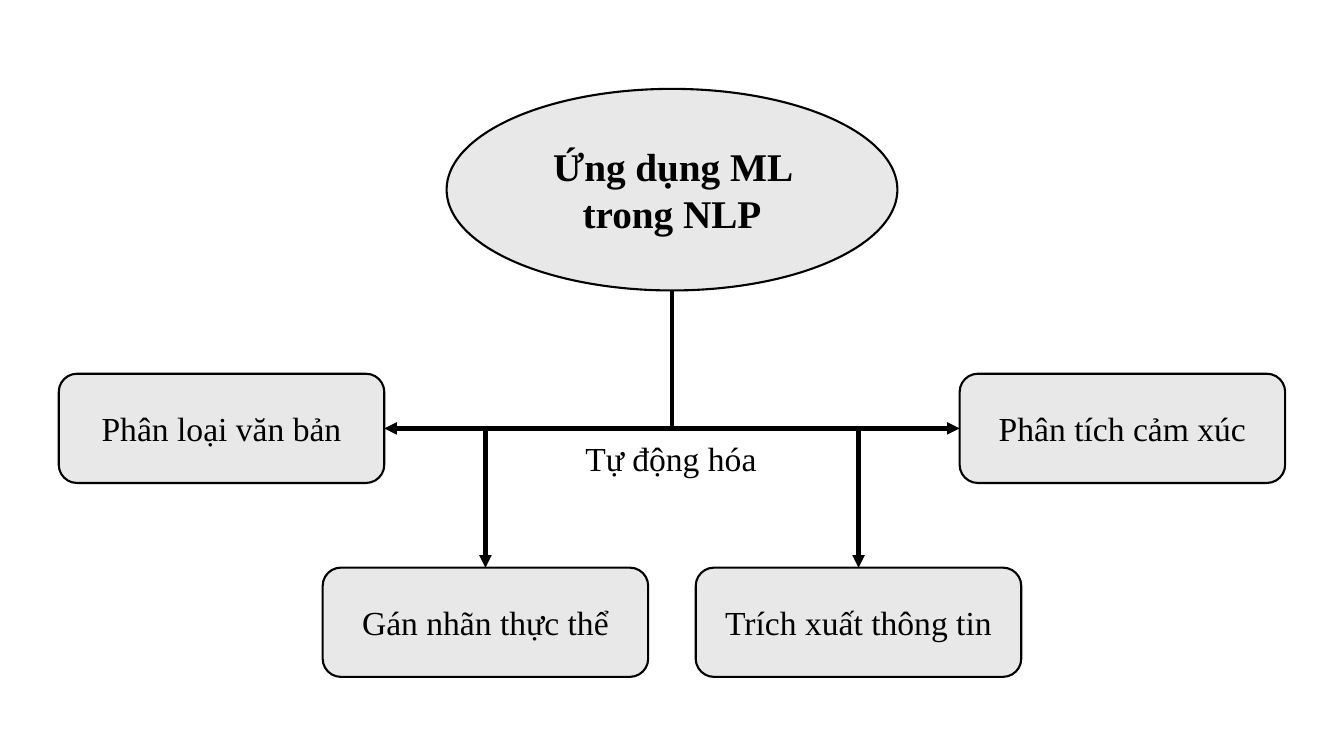
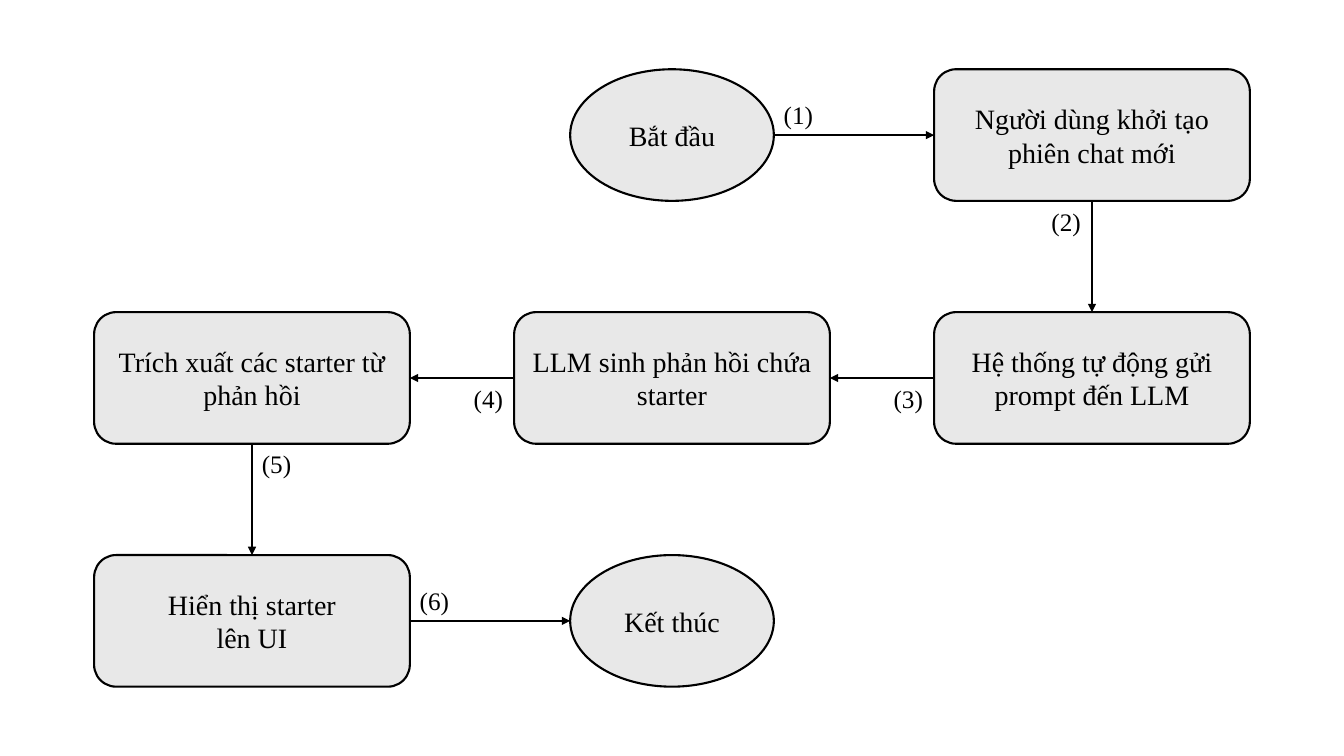
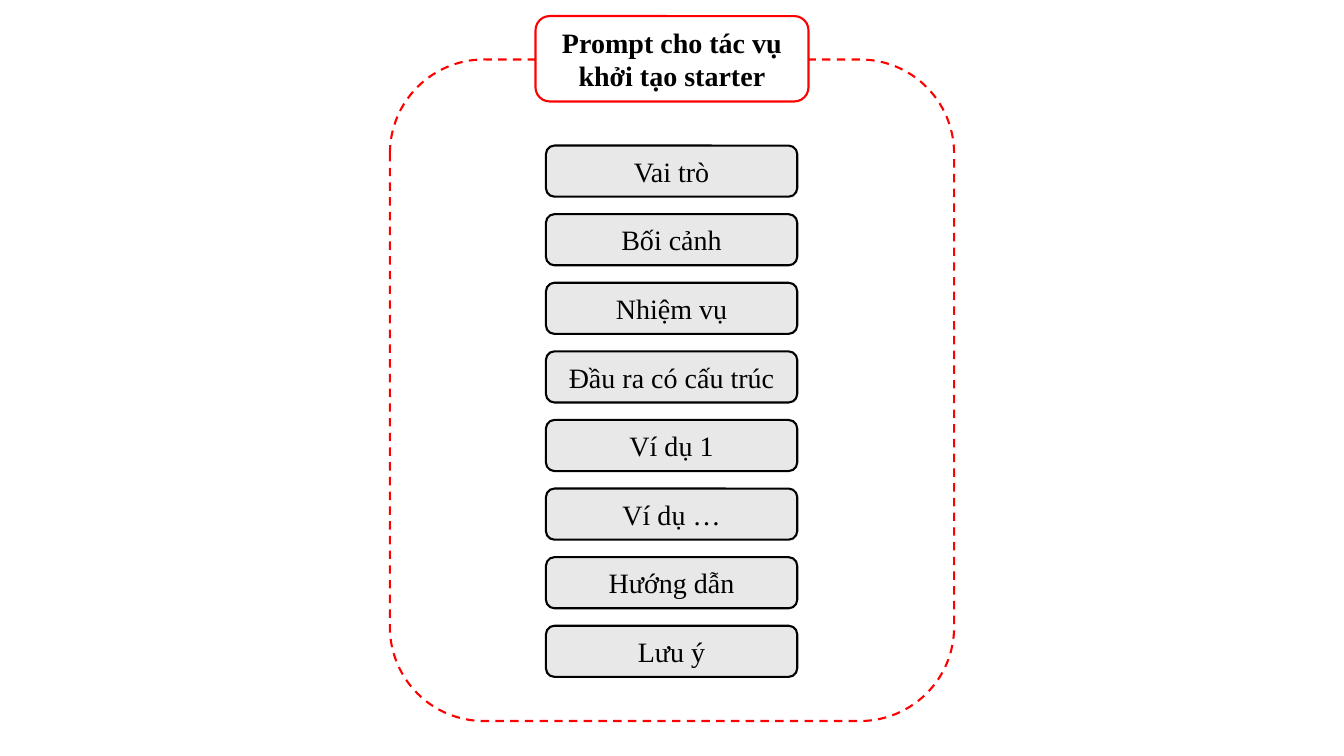
from lxml import etree
from pptx import Presentation
from pptx.dml.color import RGBColor
from pptx.enum import dml, shapes, text
from pptx.oxml.ns import qn
from pptx.util import Emu, Pt

# Shared look
PX = 6350  # EMU in one px, 1920 x 1080 px on the slide
SLIDE_SIZE = (1920, 1080)
COLORS = {"ink": "000000", "node": "E8E8E8", "accent": "FF0000", "paper": "FFFFFF"}
FONT = "Times New Roman"
OVAL = shapes.MSO_SHAPE.OVAL
ROUNDED = shapes.MSO_SHAPE.ROUNDED_RECTANGLE

# Slide 1: applications, as (text, left, top)
ROOT = ("Ứng dụng ML trong NLP", (638, 127, 644, 288))
LEAF_SIZE = (465, 156)
SIDE_LEAVES = [("Phân loại văn bản", 84, 534), ("Phân tích cảm xúc", 1371, 534)]
LOWER_LEAVES = [("Gán nhãn thực thể", 461, 811), ("Trích xuất thông tin", 994, 811)]
TREE_LABEL = ("Tự động hóa", (822, 619, 276, 72))

# Slide 2: flow steps, as (name, kind, column, row, lines)
STEP_SIZE = {ROUNDED: (451, 188), OVAL: (291, 188)}
GRID_CENTER, GRID_STEP = (360, 193), (600, 347)
STEPS = [
    ("start", OVAL, 1, 0, ["Bắt đầu"]),
    ("session", ROUNDED, 2, 0, ["Người dùng khởi tạo phiên chat mới"]),
    ("prompt", ROUNDED, 2, 1, ["Hệ thống tự động gửi", "prompt đến LLM"]),
    ("reply", ROUNDED, 1, 1, ["LLM sinh phản hồi chứa starter"]),
    ("extract", ROUNDED, 0, 1, ["Trích xuất các starter từ phản hồi"]),
    ("show", ROUNDED, 0, 2, ["Hiển thị starter", "lên UI"]),
    ("end", OVAL, 1, 2, ["Kết thúc"]),
]
# (from side, to side, label shift in label widths and heights)
ARROWS = [
    ("right", "left", (0, -1)),
    ("bottom", "top", (-1, 0)),
    ("left", "right", (-1, 0)),
    ("left", "right", (-1, 0)),
    ("bottom", "top", (0, 0)),
    ("right", "left", (0, -1)),
]
LABEL_SIZE = (72, 58)

# Slide 3: parts of the prompt
PROMPT_TITLE = (["Prompt cho tác vụ", "khởi tạo starter"], (765, 23, 390, 122))
PROMPT_FRAME = (557, 85, 806, 945)
PROMPT_PARTS = ["Vai trò", "Bối cảnh", "Nhiệm vụ", "Đầu ra có cấu trúc",
                "Ví dụ 1", "Ví dụ …", "Hướng dẫn", "Lưu ý"]
PART_BOX, PART_STEP = (780, 208, 359, 73), 98


def emu(*lengths):
    return [Emu(round(length * PX)) for length in lengths]


def rgb(name):
    return RGBColor.from_string(COLORS[name])


def write(box, lines, size, bold=False, align=None):
    frame = box.text_frame
    for number, line in enumerate(lines):
        para = frame.add_paragraph() if number else frame.paragraphs[0]
        para.alignment = align
        span = para.add_run()
        span.text = line
        span.font.name, span.font.size, span.font.bold = FONT, Pt(size), bold
        span.font.color.rgb = rgb("ink")


def add_node(page, kind, place, lines, size, bold=False, fill="node", line="ink"):
    box = page.shapes.add_shape(kind, *emu(*place))
    box.shadow.inherit = False
    if fill:
        box.fill.solid()
        box.fill.fore_color.rgb = rgb(fill)
    else:
        box.fill.background()
    box.line.color.rgb = rgb(line)
    box.line.width = Pt(1.5)
    box.text_frame.vertical_anchor = text.MSO_ANCHOR.MIDDLE
    box.text_frame.word_wrap = True
    write(box, lines, size, bold, text.PP_ALIGN.CENTER)
    return box


def add_label(page, place, words, size):
    box = page.shapes.add_textbox(*emu(*place))
    box.text_frame.word_wrap = False
    box.text_frame.auto_size = text.MSO_AUTO_SIZE.SHAPE_TO_FIT_TEXT
    write(box, [words], size)


def add_arrow(page, start, end, width, kind=shapes.MSO_CONNECTOR.STRAIGHT):
    arrow = page.shapes.add_connector(kind, *emu(*start, *end))
    arrow.line.color.rgb = rgb("ink")
    arrow.line.width = Pt(width)
    etree.SubElement(arrow.line._get_or_add_ln(), qn("a:tailEnd"), type="triangle")
    etree.SubElement(arrow._element.spPr, qn("a:effectLst"))
    return arrow


def add_elbow(page, start, end, preset):
    """Elbow that leaves downwards: a level connector turned a quarter round."""
    arrow = add_arrow(page, start, end, 3, shapes.MSO_CONNECTOR.ELBOW)
    across, down = abs(end[0] - start[0]), end[1] - start[1]
    left = (start[0] + end[0] - down) / 2
    top = (start[1] + end[1] - across) / 2
    arrow.left, arrow.top, arrow.width, arrow.height = emu(left, top, down, across)
    properties = arrow._element.spPr
    properties.find(qn("a:prstGeom")).set("prst", preset)
    frame = properties.find(qn("a:xfrm"))
    frame.attrib.pop("flipH", None)
    if end[0] < start[0]:
        frame.set("rot", "5400000")
    else:
        frame.set("rot", "16200000")
        frame.set("flipH", "1")


def side(place, name):
    left, top, width, height = place
    return {
        "left": (left, top + height / 2),
        "right": (left + width, top + height / 2),
        "top": (left + width / 2, top),
        "bottom": (left + width / 2, top + height),
    }[name]


def build_applications(page):
    words, root = ROOT
    add_node(page, OVAL, root, [words], 28, bold=True)
    start = side(root, "bottom")
    for leaf, left, top in SIDE_LEAVES + LOWER_LEAVES:
        add_node(page, ROUNDED, (left, top, *LEAF_SIZE), [leaf], 24)
    for (_, left, top), target in zip(SIDE_LEAVES, ("right", "left")):
        add_elbow(page, start, side((left, top, *LEAF_SIZE), target), "bentConnector2")
    for _, left, top in LOWER_LEAVES:
        add_elbow(page, start, side((left, top, *LEAF_SIZE), "top"), "bentConnector3")
    words, place = TREE_LABEL
    add_label(page, place, words, 24)


def build_flow(page):
    places = []
    for _, kind, column, row, lines in STEPS:
        width, height = STEP_SIZE[kind]
        left = GRID_CENTER[0] + column * GRID_STEP[0] - width / 2
        top = GRID_CENTER[1] + row * GRID_STEP[1] - height / 2
        places.append((left, top, width, height))
        add_node(page, kind, places[-1], lines, 20)
    for number, (out, into, shift) in enumerate(ARROWS, 1):
        start, end = side(places[number - 1], out), side(places[number], into)
        add_arrow(page, start, end, 1.5)
        corner = [at + move * length for at, move, length in zip(start, shift, LABEL_SIZE)]
        add_label(page, (*corner, *LABEL_SIZE), f"({number})", 18)


def build_prompt(page):
    frame = add_node(page, ROUNDED, PROMPT_FRAME, [], 20, fill=None, line="accent")
    frame.line.dash_style = dml.MSO_LINE.DASH
    left, top, width, height = PART_BOX
    for number, part in enumerate(PROMPT_PARTS):
        place = (left, top + number * PART_STEP, width, height)
        add_node(page, ROUNDED, place, [part], 20)
    lines, place = PROMPT_TITLE
    add_node(page, ROUNDED, place, lines, 20, bold=True, fill="paper", line="accent")


def main():
    deck = Presentation()
    deck.slide_width, deck.slide_height = emu(*SLIDE_SIZE)
    blank = deck.slide_layouts[6]
    for build in (build_applications, build_flow, build_prompt):
        build(deck.slides.add_slide(blank))
    deck.save("out.pptx")


if __name__ == "__main__":
    main()
